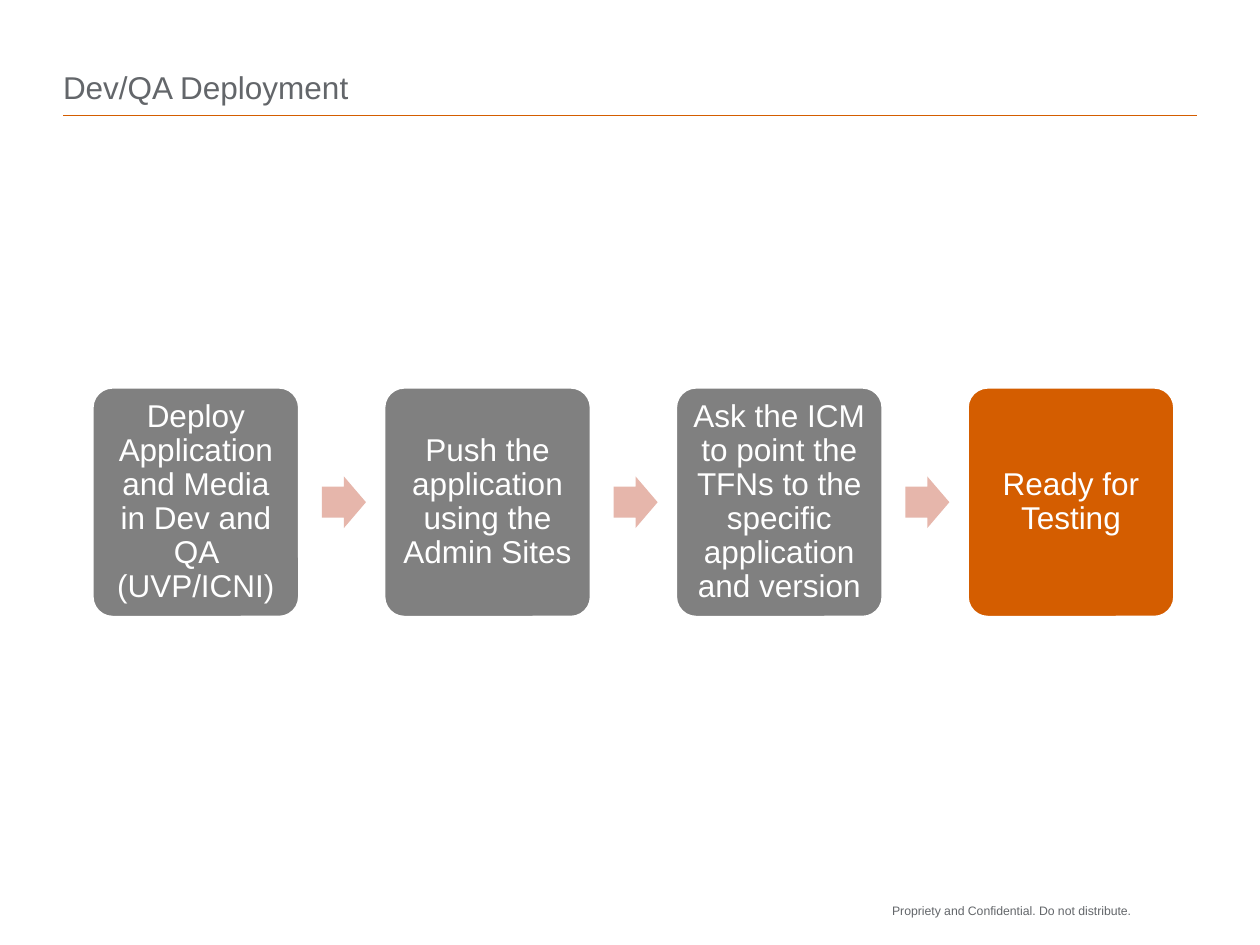
from pptx import Presentation
from pptx.dml.color import RGBColor
from pptx.enum.shapes import MSO_CONNECTOR as Connector, MSO_SHAPE as Shape
from pptx.enum.text import MSO_ANCHOR as Anchor, MSO_AUTO_SIZE as AutoSize, PP_ALIGN as Align
from pptx.oxml.ns import qn
from pptx.util import Pt
from lxml.etree import SubElement

FONT = "Arial"
INK, ORANGE, GRAY, PINK, WHITE = "63666A", "D45D00", "808080", "E6B6AB", "FFFFFF"

STEPS = [
    ("Deploy Application and Media in Dev and QA (UVP/ICNI)", GRAY),
    ("Push the application using the Admin Sites", GRAY),
    ("Ask the ICM to point the TFNs to the specific application and version", GRAY),
    ("Ready for Testing", ORANGE),
]
STEP_LEFT, STEP_TOP, STEP_WIDTH, STEP_HEIGHT = 52.5, 221.1, 118.8, 131.8
STEP_PITCH = 166.7
ARROW_WIDTH, ARROW_HEIGHT, ARROW_GAP = 25.2, 29.5, 12.6


def color(hex_value):
    return RGBColor.from_string(hex_value)


def box(left, top, width, height):
    return Pt(left), Pt(top), Pt(width), Pt(height)


class SlideBuilder:
    def __init__(self, slide):
        self.slide = slide

    def set_text(self, frame, text, size, hex_value, margin=0, anchor=Anchor.TOP,
                 align=Align.LEFT, wrap=True, spacing=None):
        frame.text = text
        frame.auto_size = AutoSize.NONE
        frame.word_wrap = wrap
        frame.vertical_anchor = anchor
        frame.margin_left = frame.margin_right = Pt(margin)
        frame.margin_top = frame.margin_bottom = Pt(margin)
        paragraph = frame.paragraphs[0]
        paragraph.alignment = align
        paragraph.line_spacing = spacing
        font = paragraph.runs[0].font
        font.name, font.size = FONT, Pt(size)
        font.color.rgb = color(hex_value)

    def title(self, text, bounds):
        heading = self.slide.shapes.title
        heading.left, heading.top, heading.width, heading.height = bounds
        self.set_text(heading.text_frame, text, 18, INK, anchor=Anchor.BOTTOM)

    def rule(self, left, right, y):
        line = self.slide.shapes.add_connector(
            Connector.STRAIGHT, Pt(left), Pt(y), Pt(right), Pt(y))
        line.line.color.rgb = color(ORANGE)
        line.line.width = Pt(1)
        SubElement(line._element.spPr, qn("a:effectLst"))

    def footer(self, text, bounds):
        note = self.slide.shapes.add_textbox(*bounds)
        self.set_text(note.text_frame, text, 7, INK, wrap=False)

    def shape(self, kind, bounds, fill, adjustments):
        """Add a filled preset shape without outline or shadow."""
        shape = self.slide.shapes.add_shape(kind, *bounds)
        shape.shadow.inherit = False
        shape.fill.solid()
        shape.fill.fore_color.rgb = color(fill)
        shape.line.fill.background()
        for index, value in enumerate(adjustments):
            shape.adjustments[index] = value
        return shape

    def step(self, text, fill, bounds):
        card = self.shape(Shape.ROUNDED_RECTANGLE, bounds, fill, [0.1])
        card.line.color.rgb = color(WHITE)
        card.line.width = Pt(2)
        self.set_text(card.text_frame, text, 18, WHITE, margin=5, anchor=Anchor.MIDDLE,
                      align=Align.CENTER, spacing=0.9)

    def arrow(self, bounds):
        self.shape(Shape.RIGHT_ARROW, bounds, PINK, [0.6, 0.5])


def main():
    deck = Presentation()
    deck.slide_width, deck.slide_height = Pt(720), Pt(540)
    builder = SlideBuilder(deck.slides.add_slide(deck.slide_layouts[5]))

    builder.rule(36, 684, 66)
    builder.footer("Propriety and Confidential. Do not distribute.",
                   box(509.8, 516.2, 150, 18))
    builder.title("Dev/QA Deployment", box(36, 12, 648, 48.5))

    arrow_top = STEP_TOP + (STEP_HEIGHT - ARROW_HEIGHT) / 2
    for index, (text, fill) in enumerate(STEPS):
        left = STEP_LEFT + index * STEP_PITCH
        builder.step(text, fill, box(left, STEP_TOP, STEP_WIDTH, STEP_HEIGHT))
        if index < len(STEPS) - 1:
            arrow_left = left + STEP_WIDTH + ARROW_GAP
            builder.arrow(box(arrow_left, arrow_top, ARROW_WIDTH, ARROW_HEIGHT))

    deck.save("out.pptx")


if __name__ == "__main__":
    main()
